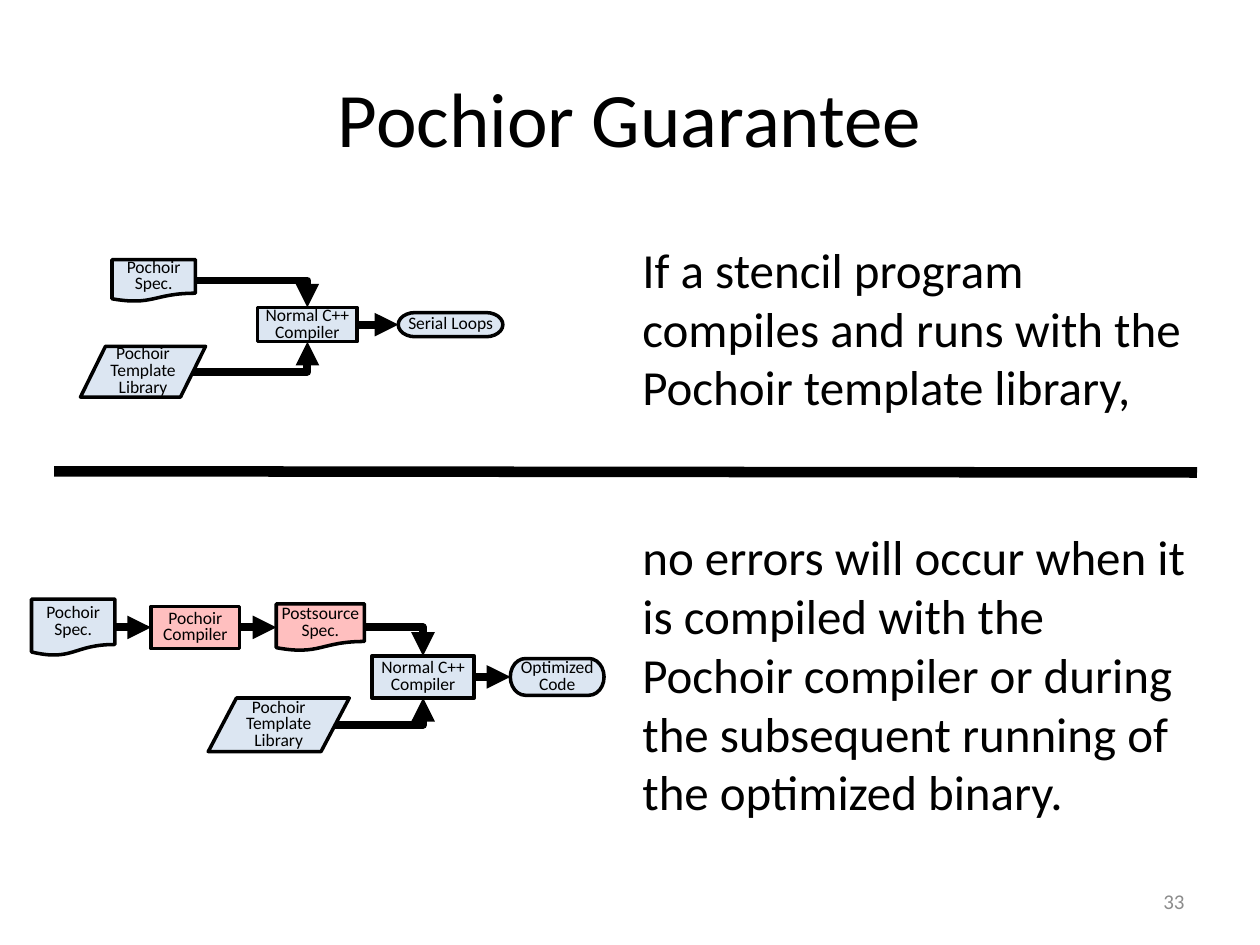
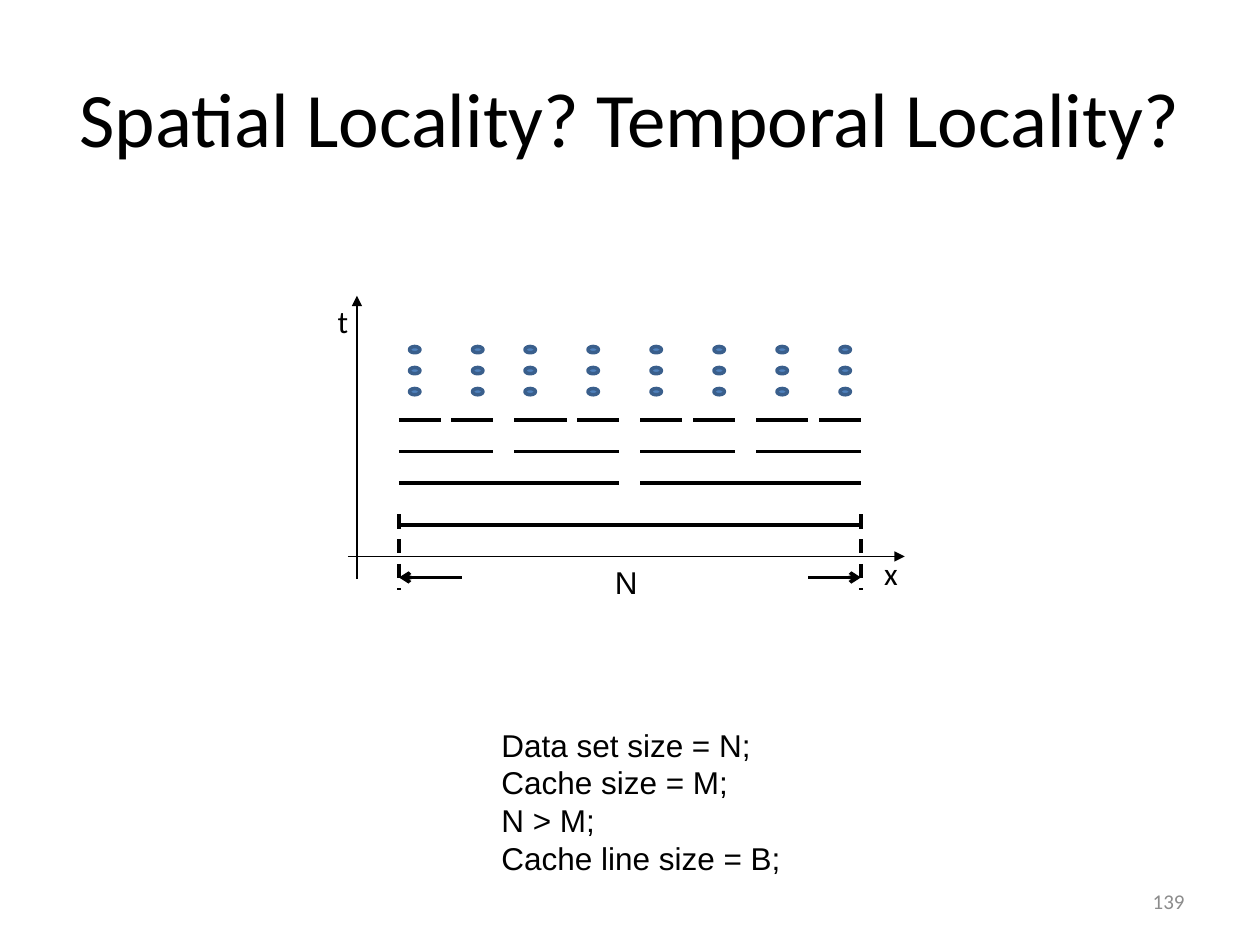
"""Build two slides: the Pochoir guarantee and a cache locality diagram."""
from lxml.etree import SubElement
from pptx import Presentation
from pptx.dml.color import RGBColor
from pptx.enum.dml import MSO_LINE
from pptx.enum.shapes import MSO_CONNECTOR, MSO_SHAPE
from pptx.enum.text import MSO_ANCHOR, PP_ALIGN
from pptx.oxml.ns import qn
from pptx.util import Pt

BLACK = "000000"
GRAY = "8C8C8C"
PALE_BLUE = "DCE6F2"
RED = "FF0000"
DOT_BLUE = "4F81BD"
DOT_EDGE = "3A5F8C"
color = RGBColor.from_string


def write(shape, text, size, font="Calibri", ink=BLACK, align=PP_ALIGN.LEFT,
          anchor=MSO_ANCHOR.TOP, wrap=True, spacing=None):
    """Put formatted text into a shape."""
    frame = shape.text_frame
    frame.text = text
    frame.word_wrap = wrap
    frame.vertical_anchor = anchor
    for paragraph in frame.paragraphs:
        paragraph.alignment = align
        paragraph.line_spacing = spacing
        for run in paragraph.runs:
            run.font.size = Pt(size)
            run.font.name = font
            run.font.color.rgb = color(ink)


def draw_line(slide, start, end, width, head=None, dash=None, bent=False):
    """Draw a black straight or one-bend connector and return it."""
    kind = MSO_CONNECTOR.ELBOW if bent else MSO_CONNECTOR.STRAIGHT
    connector = slide.shapes.add_connector(kind, *map(Pt, start + end))
    connector.line.width = Pt(width)
    connector.line.color.rgb = color(BLACK)
    if dash:
        connector.line.dash_style = dash
    properties = connector._element.spPr
    if bent:
        properties.find(qn("a:prstGeom")).set("prst", "bentConnector2")
    if head:
        SubElement(properties.find(qn("a:ln")), qn("a:tailEnd"), type=head)
    SubElement(properties, qn("a:effectLst"))
    return connector


presentation = Presentation()
presentation.slide_width = Pt(720)
presentation.slide_height = Pt(540)

slides = []
for title, number in (("Pochior Guarantee", "33"),
                      ("Spatial Locality? Temporal Locality?", "139")):
    slide = presentation.slides.add_slide(presentation.slide_layouts[6])
    title_box = slide.shapes.add_textbox(Pt(36), Pt(21.6), Pt(648), Pt(90))
    write(title_box, title, 44, align=PP_ALIGN.CENTER, anchor=MSO_ANCHOR.MIDDLE)
    number_box = slide.shapes.add_textbox(Pt(516), Pt(500.5), Pt(168), Pt(28.75))
    write(number_box, number, 12, ink=GRAY, align=PP_ALIGN.RIGHT,
          anchor=MSO_ANCHOR.MIDDLE)
    slides.append(slide)
guarantee, locality = slides

for top, height, statement in (
    (133.2, 108.7, "If a stencil program compiles and runs with the Pochoir "
                   "template library,"),
    (297.4, 177, "no errors will occur when it is compiled with the Pochoir "
                 "compiler or during the subsequent running of the optimized binary."),
):
    statement_box = guarantee.shapes.add_textbox(Pt(360), Pt(top), Pt(336), Pt(height))
    write(statement_box, statement, 28)
draw_line(guarantee, (31, 269.3), (684, 270), 6)

DOCUMENT = MSO_SHAPE.FLOWCHART_DOCUMENT
DATA = MSO_SHAPE.FLOWCHART_DATA
PROCESS = MSO_SHAPE.FLOWCHART_PROCESS
TERMINATOR = MSO_SHAPE.FLOWCHART_TERMINATOR
flow_nodes = (
    ("serial spec", DOCUMENT, 64, 160.3, 47.6, 24, PALE_BLUE, "Pochoir\nSpec."),
    ("serial library", DATA, 46, 212.4, 71.5, 29, PALE_BLUE, "Pochoir Template Library"),
    ("serial compiler", PROCESS, 147.3, 185.5, 56.7, 19.6, PALE_BLUE, "Normal C++ Compiler"),
    ("serial loops", TERMINATOR, 227.6, 185.5, 59.8, 13.8, PALE_BLUE, "Serial Loops"),
    ("spec", DOCUMENT, 18, 358.5, 47.6, 32.4, PALE_BLUE, "Pochoir\nSpec."),
    ("library", DATA, 119, 414.2, 80.6, 30.6, PALE_BLUE, "Pochoir Template Library"),
    ("compiler", PROCESS, 212.5, 386.8, 58.5, 24, PALE_BLUE, "Normal C++ Compiler"),
    ("optimized code", TERMINATOR, 291.6, 386.8, 53.6, 21, PALE_BLUE, "Optimized Code"),
    ("pochoir compiler", PROCESS, 86.3, 358.5, 50.6, 24, RED, "Pochoir\nCompiler"),
    ("postsource", DOCUMENT, 157.9, 358.5, 50.4, 26.8, RED, "Postsource\nSpec."),
)
nodes = {}
for name, kind, left, middle, width, height, fill, text in flow_nodes:
    node = guarantee.shapes.add_shape(
        kind, Pt(left), Pt(middle - height / 2), Pt(width), Pt(height))
    node.shadow.inherit = False
    node.fill.solid()
    node.fill.fore_color.rgb = color(fill)
    if fill == RED:
        SubElement(node._element.spPr.find(".//" + qn("a:srgbClr")),
                   qn("a:alpha"), val="25000")
    node.line.color.rgb = color(BLACK)
    node.line.width = Pt(2)
    frame = node.text_frame
    frame.margin_left = frame.margin_right = frame.margin_top = frame.margin_bottom = 0
    write(node, text, 10, align=PP_ALIGN.CENTER, anchor=MSO_ANCHOR.MIDDLE, spacing=0.8)
    nodes[name] = node

for source, target in (("serial compiler", "serial loops"),
                       ("spec", "pochoir compiler"),
                       ("pochoir compiler", "postsource"),
                       ("compiler", "optimized code")):
    arrow = draw_line(guarantee, (0, 0), (0, 0), 4.5, "triangle")
    arrow.begin_connect(nodes[source], 3)
    arrow.end_connect(nodes[target], 1)

for start, end in (((111.6, 160.3), (175.65, 175.7)),
                   ((110.2, 212.4), (175.65, 195.3)),
                   ((208.3, 358.5), (241.75, 374.8)),
                   ((191.5, 414.2), (241.75, 398.8))):
    draw_line(guarantee, start, end, 4.5, "triangle", bent=True)

draw_line(locality, (198.75, 318), (517, 318), 0.75, "triangle")
draw_line(locality, (204, 331), (204, 169), 0.75, "triangle")
for edge in (228, 492):
    draw_line(locality, (edge, 294), (edge, 337), 2, dash=MSO_LINE.DASH)
draw_line(locality, (264, 330), (228, 330), 2, "arrow")
draw_line(locality, (462, 330), (492, 330), 2, "arrow")

for left, top, width, height, font, text in (
    (185.8, 169.2, 21.6, 29, "Calibri", "t"),
    (498.2, 313.2, 25.2, 29, "Calibri", "x"),
    (344.2, 318.2, 27.4, 29, "Arial", "N"),
    (279.4, 411.1, 175.7, 94.5, "Arial",
     "Data set size = N;\nCache size = M;\nN > M;\nCache line size = B;"),
):
    label = locality.shapes.add_textbox(Pt(left), Pt(top), Pt(width), Pt(height))
    write(label, text, 18, font, wrap=False)

pieces = ((228, 252), (258, 282), (294, 324), (330, 354),
          (366, 390), (396, 420), (432, 462), (468, 492))
for group, height in ((8, 300), (4, 276), (2, 258), (1, 240)):
    for first in range(0, len(pieces), group):
        left, right = pieces[first][0], pieces[first + group - 1][1]
        draw_line(locality, (left, height), (right, height), 2)

for left in (234, 270, *range(300, 481, 36)):
    for top in (222, 210, 198):
        dot = locality.shapes.add_shape(MSO_SHAPE.OVAL, Pt(left), Pt(top), Pt(6), Pt(3.6))
        dot.shadow.inherit = False
        dot.fill.solid()
        dot.fill.fore_color.rgb = color(DOT_BLUE)
        dot.line.color.rgb = color(DOT_EDGE)
        dot.line.width = Pt(2)

presentation.save("out.pptx")
